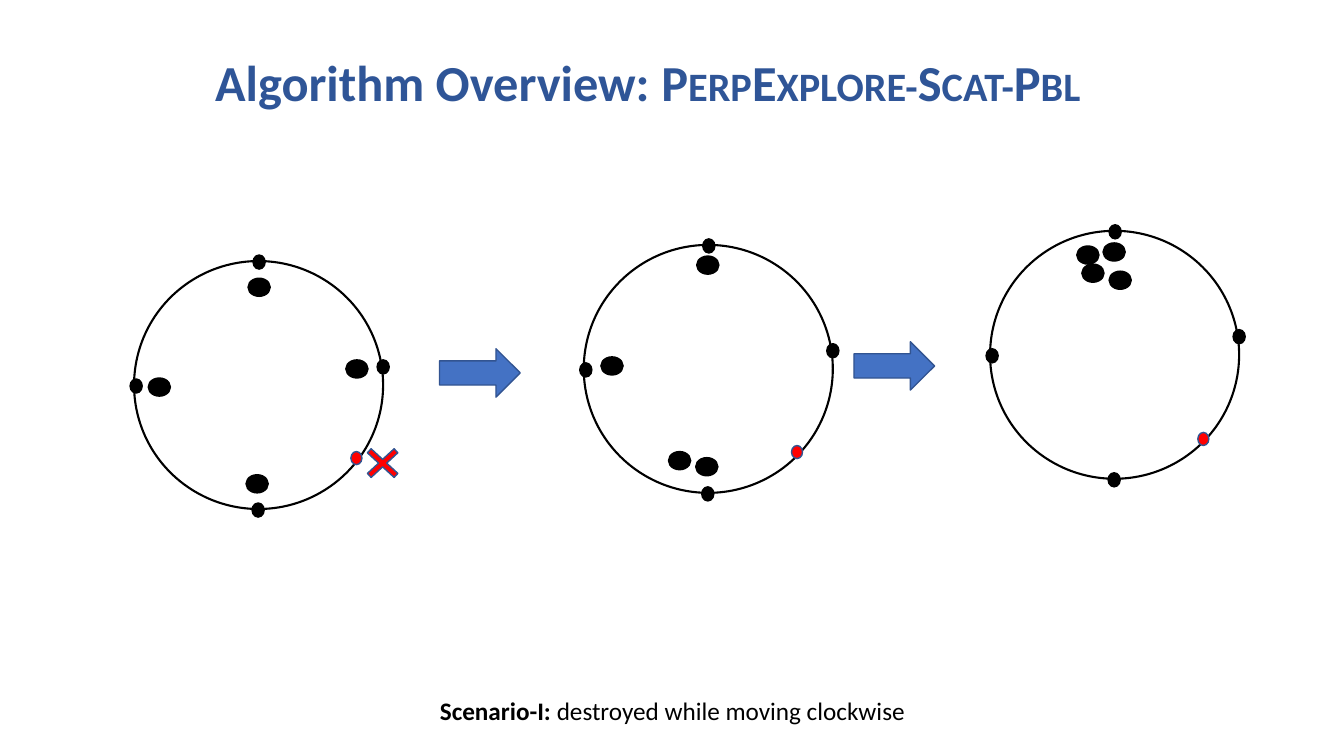
from typing import NamedTuple

from pptx import Presentation
from pptx.dml.color import RGBColor
from pptx.enum.shapes import MSO_SHAPE
from pptx.enum.text import MSO_ANCHOR, PP_ALIGN
from pptx.util import Inches, Pt

OVAL = MSO_SHAPE.OVAL
ARROW = MSO_SHAPE.RIGHT_ARROW
CROSS = MSO_SHAPE.MATH_MULTIPLY
MIDDLE = MSO_ANCHOR.MIDDLE
CENTER = PP_ALIGN.CENTER

FONT = "Calibri"
HUES = {"title": "2F5597", "black": "000000", "red": "FF0000",
        "blue": "4472C4", "edge": "325491"}

Spot = tuple[float, float]
RING: Spot = (2.47, 2.46)
NODE: Spot = (0.12, 0.14)
AGENT: Spot = (0.22, 0.18)
HOLE: Spot = (0.11, 0.13)
BLOCK: Spot = (0.8, 0.48)
# Nodes, agents and holes are placed relative to their ring's top left corner.
NODES: list[Spot] = [(1.18, -0.06), (2.41, 0.98), (-0.04, 1.17), (1.17, 2.4)]


class Stage(NamedTuple):
    at: Spot
    agents: list[Spot]
    hole: Spot


STAGES = [
    Stage((1.33, 2.59), [(1.13, 0.17), (0.14, 1.16), (1.11, 2.12), (2.1, 0.98)],
          (2.15, 1.89)),
    Stage((5.79, 2.43), [(0.17, 1.11), (0.84, 2.05), (1.11, 2.11), (1.12, 0.11)],
          (2.06, 1.99)),
    Stage((9.82, 2.29), [(0.86, 0.15), (0.91, 0.33), (1.18, 0.4), (1.12, 0.12)],
          (2.06, 2.0)),
]
ARROWS: list[Spot] = [(4.36, 3.46), (8.47, 3.39)]


def draw(shapes, kind, at: Spot, size: Spot, fill: str = "",
         line: str = "black", width: float = 1):
    shape = shapes.add_shape(kind, *map(Inches, at + size))
    shape.shadow.inherit = False
    if fill:
        shape.fill.solid()
        shape.fill.fore_color.rgb = RGBColor.from_string(HUES[fill])
    else:
        shape.fill.background()
    shape.line.color.rgb = RGBColor.from_string(HUES[line])
    shape.line.width = Pt(width)
    return shape


def write(para, text: str, *, size: float, color: str = "black",
          bold: bool = False, caps: bool = False) -> None:
    run = para.add_run()
    run.text = text
    font = run.font
    font.name, font.size, font.bold = FONT, Pt(size), bold
    font.color.rgb = RGBColor.from_string(HUES[color])
    if caps:
        run._r.get_or_add_rPr().set("cap", "small")


def setup(box):
    """Wrap and centre the box's text; return its first paragraph."""
    frame = box.text_frame
    frame.word_wrap = True
    frame.vertical_anchor = MIDDLE
    para = frame.paragraphs[0]
    para.alignment = CENTER
    return para


def add_stage(shapes, stage: Stage) -> None:
    left, top = stage.at

    def place(spot: Spot) -> Spot:
        return left + spot[0], top + spot[1]

    group = shapes.add_group_shape().shapes
    draw(group, OVAL, stage.at, RING, width=1.5)
    for spots, size in ((NODES, NODE), (stage.agents, AGENT)):
        for spot in spots:
            draw(group, OVAL, place(spot), size, "black")
    draw(shapes, OVAL, place(stage.hole), HOLE, "red", "edge")


def main() -> None:
    deck = Presentation()
    deck.slide_width, deck.slide_height = Inches(13.33), Inches(7.5)
    slide = deck.slides.add_slide(deck.slide_layouts[5])
    shapes = slide.shapes

    title = shapes.title
    title.left, title.top = Inches(0.65), Inches(0.45)
    title.width, title.height = Inches(11.55), Inches(0.71)
    para = setup(title)
    write(para, "Algorithm Overview: ", size=36, color="title", bold=True)
    write(para, "PerpExplore-Scat-Pbl", size=36, color="title", bold=True,
          caps=True)

    note = shapes.add_textbox(*map(Inches, (2.46, 6.85, 8.42, 0.4)))
    para = setup(note)
    write(para, "Scenario-I: ", size=18, bold=True)
    write(para, "destroyed while moving clockwise", size=18)

    for stage in STAGES:
        add_stage(shapes, stage)
    cross = draw(shapes, CROSS, (3.54, 4.36), (0.51, 0.47), "red", "edge")
    cross.adjustments[0] = 0.116
    for at in ARROWS:
        draw(shapes, ARROW, at, BLOCK, "blue", "edge")

    deck.save("out.pptx")


if __name__ == "__main__":
    main()
